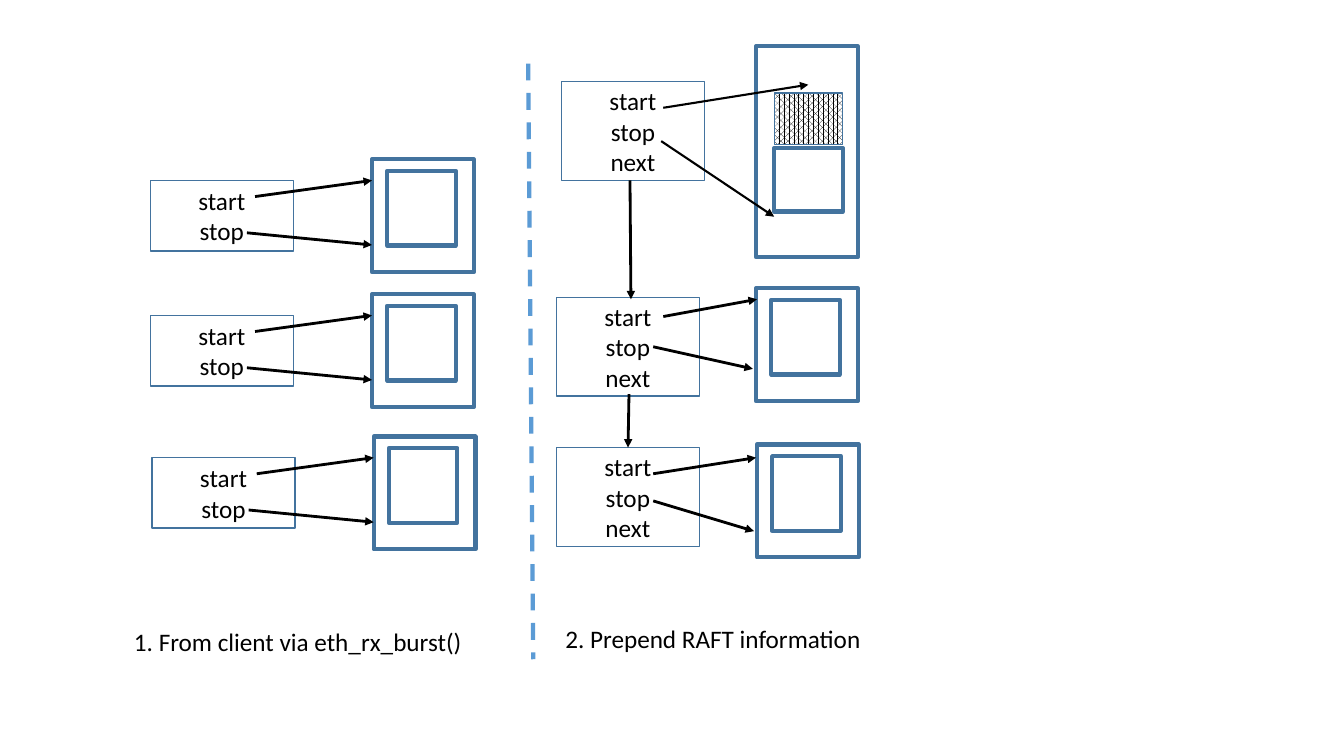
from lxml.etree import SubElement
from pptx import Presentation
from pptx.dml.color import RGBColor
from pptx.enum.dml import MSO_LINE, MSO_PATTERN
from pptx.enum.shapes import MSO_CONNECTOR, MSO_SHAPE
from pptx.enum.text import MSO_ANCHOR, MSO_AUTO_SIZE, PP_ALIGN
from pptx.oxml.ns import qn
from pptx.util import Pt

COLORS = {"outline": "43739E", "divider": "5B9BD5", "ink": "000000", "paper": "FFFFFF"}
FONT = "Calibri"

# Content: positions and sizes in points
CAPTIONS = [
    ("1. From client via eth_rx_burst()", 88.6, 443.5, 251.3),
    ("2. Prepend RAFT information", 396.7, 441.4, 227.5),
]
CLIENT_FIELDS = ["start", "stop"]
RAFT_FIELDS = ["start", "stop", "next"]
FIELD_WIDTH = 102.2
FIELD_HEIGHTS = {2: 50.4, 3: 70.6}
BUFFER_SIZE = (72.7, 80.6)
PAYLOAD_SIZE = (49, 53.3)
PAYLOAD_OFFSET = (10.8, 8.3)

CLIENT_BUFFERS = [(265.7, 113.8), (265.7, 210.2), (266.9, 311.8)]
CLIENT_FIELD_OFFSET = (-158.4, 15.1)
CLIENT_POINTERS = [((-83.5, 26.6), (0, 15.1)), ((-89.3, 52.5), (0, 61.2))]

RAFT_BUFFERS = [(540, 205.9), (540.7, 317.5)]
RAFT_FIELD_BOXES = [(401, 58.3), (397.4, 212.4), (397.4, 319.7)]
PREPENDED_BUFFER = (540, 33.1, 72.7, 150.5)
PREPENDED_HEADER = (553, 66.4, 49, 36.7)
PREPENDED_PAYLOAD = (553, 105.8, 49, 45.4)
PREPENDED_POINTERS = [((473.8, 77), (577.4, 60.5)), ((472.3, 100.8), (553, 154.8))]
RAFT_POINTERS = [
    ((473.8, 226.1), (540.7, 213.8)), ((466.6, 247.7), (537.8, 263.5)),
    ((466.6, 338.4), (540, 326.9)), ((466.6, 357.8), (538.6, 379.4)),
]
NEXT_LINKS = [((450, 128.9), (450.7, 213.8)), ((449.3, 281.5), (448.6, 319.7))]
DIVIDER = ((377.3, 45.4), (380.9, 470.9))

presentation = Presentation()
presentation.slide_width, presentation.slide_height = Pt(960), Pt(540)
slide = presentation.slides.add_slide(presentation.slide_layouts[6])


def color(name):
    return RGBColor.from_string(COLORS[name])


def shift(origin, offset):
    return origin[0] + offset[0], origin[1] + offset[1]


def write_text(shape, lines, align=PP_ALIGN.LEFT, anchor=MSO_ANCHOR.TOP, wrap=True):
    frame = shape.text_frame
    frame.word_wrap, frame.vertical_anchor = wrap, anchor
    frame.text = "\n".join(lines)
    for paragraph in frame.paragraphs:
        paragraph.alignment = align
        font = paragraph.runs[0].font
        font.name, font.size = FONT, Pt(18)
        font.color.rgb = color("ink")


def add_box(left, top, width, height, weight=3):
    shape = slide.shapes.add_shape(
        MSO_SHAPE.RECTANGLE, Pt(left), Pt(top), Pt(width), Pt(height))
    shape.shadow.inherit = False
    shape.fill.background()
    shape.line.color.rgb = color("outline")
    shape.line.width = Pt(weight)
    return shape


def add_fields(position, fields):
    box = add_box(*position, FIELD_WIDTH, FIELD_HEIGHTS[len(fields)], weight=1)
    write_text(box, fields, align=PP_ALIGN.CENTER, anchor=MSO_ANCHOR.MIDDLE)


def add_buffer(position):
    add_box(*position, *BUFFER_SIZE)
    add_box(*shift(position, PAYLOAD_OFFSET), *PAYLOAD_SIZE)


def add_line(start, end, weight=2, line_color="ink", arrow=True):
    connector = slide.shapes.add_connector(
        MSO_CONNECTOR.STRAIGHT, *(Pt(value) for value in (*start, *end)))
    connector.line.color.rgb = color(line_color)
    connector.line.width = Pt(weight)
    if arrow:
        SubElement(connector.line._get_or_add_ln(), qn("a:tailEnd"), type="triangle")
    SubElement(connector._element.spPr, qn("a:effectLst"))
    return connector


# Left side: separate client buffers
for buffer in CLIENT_BUFFERS:
    add_fields(shift(buffer, CLIENT_FIELD_OFFSET), CLIENT_FIELDS)
    add_buffer(buffer)
    for start, end in CLIENT_POINTERS:
        add_line(shift(buffer, start), shift(buffer, end))

# Divider
add_line(*DIVIDER, weight=3, line_color="divider", arrow=False).line.dash_style = MSO_LINE.DASH

# Right side: chained buffers, the first with a prepended header
for position in RAFT_FIELD_BOXES:
    add_fields(position, RAFT_FIELDS)
add_box(*PREPENDED_BUFFER)
header = add_box(*PREPENDED_HEADER, weight=1)
header.fill.patterned()
header.fill.pattern = MSO_PATTERN.PERCENT_70
header.fill.fore_color.rgb = color("ink")
header.fill.back_color.rgb = color("paper")
add_box(*PREPENDED_PAYLOAD)
for buffer in RAFT_BUFFERS:
    add_buffer(buffer)
for start, end in PREPENDED_POINTERS:
    add_line(start, end, weight=1.5)
for start, end in RAFT_POINTERS + NEXT_LINKS:
    add_line(start, end)

# Captions
for text, left, top, width in CAPTIONS:
    caption = slide.shapes.add_textbox(Pt(left), Pt(top), Pt(width), Pt(29))
    write_text(caption, [text], wrap=False)
    caption.text_frame.auto_size = MSO_AUTO_SIZE.SHAPE_TO_FIT_TEXT

presentation.save("out.pptx")
